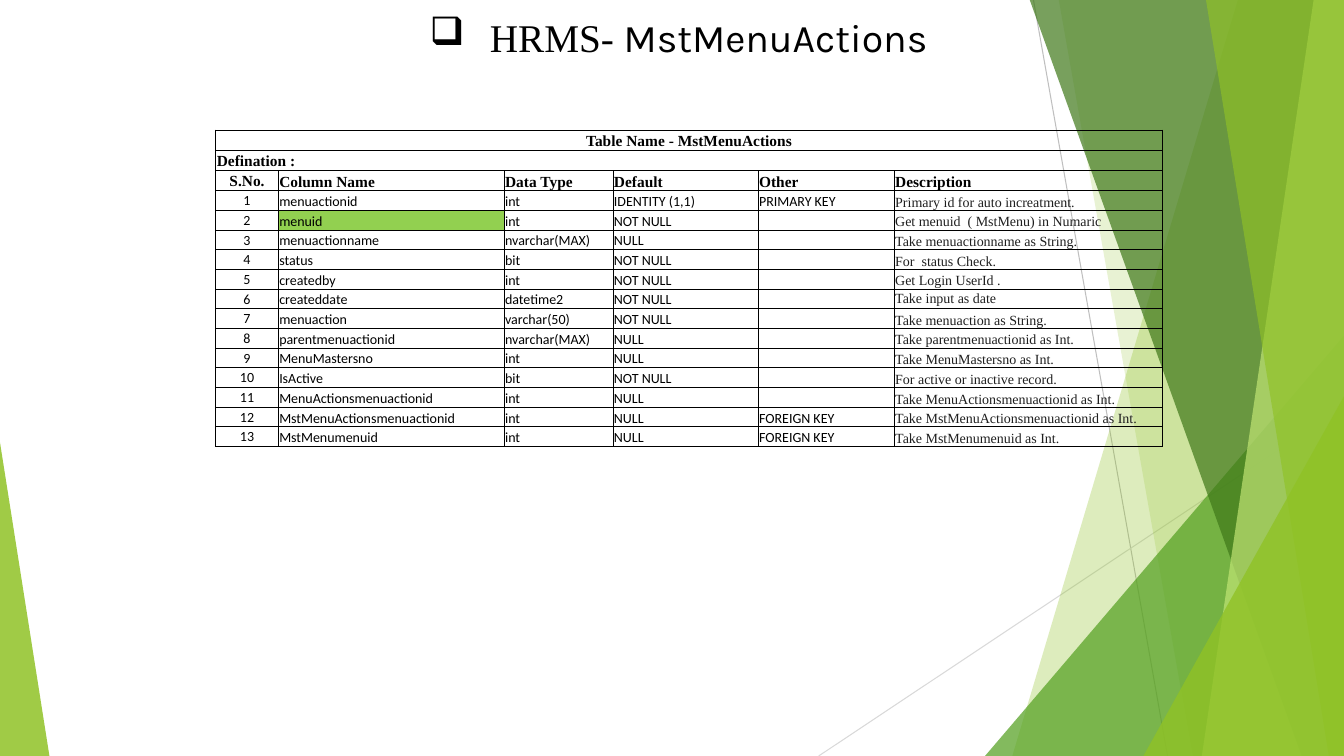
from lxml import etree
from pptx import Presentation
from pptx.dml.color import RGBColor
from pptx.enum import shapes, text
from pptx.oxml import ns
from pptx.util import Inches, Pt

HUES = {
    "black": "000000", "ink": "1F1F1F", "mark": "92D050",
    "lime": "90C226", "leaf": "54A021", "moss": "3F7819", "pale": "C0E474",
    "gray": "BFBFBF", "mist": "D9D9D9",
}
SERIF, SANS = "Times New Roman", "Calibri"


def hue(name):
    return RGBColor.from_string(HUES[name])


def tint(shape, name, alpha):
    """Fill a shape with a see-through colour, without line or shadow."""
    shape.shadow.inherit = False
    shape.line.fill.background()
    shape.fill.solid()
    shape.fill.fore_color.rgb = hue(name)
    color = shape.fill._xPr.find(".//" + ns.qn("a:srgbClr"))
    etree.SubElement(color, ns.qn("a:alpha"), val=str(alpha * 1000))


deck = Presentation()
deck.slide_width, deck.slide_height = Inches(13.33), Inches(7.5)
slide = deck.slides.add_slide(deck.slide_layouts[5])

# Thin lines behind the bands
for x1, y1, x2, y2, name in [(10.25, 0, 11.58, 7.5, "gray"),
                             (13.33, 4.03, 8.12, 7.5, "mist")]:
    line = slide.shapes.add_connector(
        shapes.MSO_CONNECTOR.STRAIGHT,
        Inches(x1), Inches(y1), Inches(x2), Inches(y2))
    line.line.color.rgb = hue(name)
    line.line.width = Pt(0.75)
    etree.SubElement(line._element.spPr, ns.qn("a:effectLst"))

# Green bands run to the right edge; triangles stand on the bottom edge
decor = [
    ("band", 12.28, 10.04, "lime", 30),
    ("band", 10.5, 11.83, "lime", 20),
    ("right", 3.56, 4.17, "leaf", 72),
    ("band", 10.21, 12.91, "moss", 70),
    ("band", 13.03, 11.92, "pale", 70),
    ("band", 11.96, 13.18, "lime", 65),
    ("right", 1.99, 3.57, "lime", 80),
    ("left", 0.49, 3.11, "lime", 85),
]
for kind, a, b, name, alpha in decor:
    if kind == "band":  # a and b: left edge at top and bottom
        pen = slide.shapes.build_freeform(Inches(a), Inches(-0.01))
        pen.add_line_segments([(Inches(x), Inches(y)) for x, y in
                               [(13.33, -0.01), (13.33, 7.5), (b, 7.5)]])
        part = pen.convert_to_shape()
    else:  # a and b: width and height
        left = 13.33 - a if kind == "right" else 0
        part = slide.shapes.add_shape(
            shapes.MSO_SHAPE.ISOSCELES_TRIANGLE,
            Inches(left), Inches(7.5 - b), Inches(a), Inches(b))
        part.adjustments[0] = 1 if kind == "right" else 0
    tint(part, name, alpha)

# Title with its box bullet
title = slide.shapes.title
title.left, title.top = Inches(1.62), Inches(0.08)
title.width, title.height = Inches(8.22), Inches(0.57)
frame = title.text_frame
frame.word_wrap = True
frame.auto_size = text.MSO_AUTO_SIZE.NONE
frame.vertical_anchor = text.MSO_ANCHOR.TOP
head = frame.paragraphs[0]
head.alignment = text.PP_ALIGN.CENTER
props = head._p.get_or_add_pPr()
props.set("marL", str(Inches(2.5)))
props.set("indent", str(Inches(-0.5)))
etree.SubElement(props, ns.qn("a:buChar"), char="❑")
for words, face in [(" HRMS- ", SERIF), ("MstMenuActions", "Karla")]:
    run = head.add_run()
    run.text = words
    run.font.size, run.font.name = Pt(28), face
    run.font.color.rgb = hue("black")

# Table rows
fields = [
    ("menuactionid", "int", "IDENTITY (1,1)", "PRIMARY KEY",
     "Primary id for auto increatment."),
    ("menuid", "int", "NOT NULL", "", "Get menuid  ( MstMenu) in Numaric"),
    ("menuactionname", "nvarchar(MAX)", "NULL", "",
     "Take menuactionname as String."),
    ("status", "bit", "NOT NULL", "", "For  status Check."),
    ("createdby", "int", "NOT NULL", "", "Get Login UserId ."),
    ("createddate", "datetime2", "NOT NULL", "", "Take input as date"),
    ("menuaction", "varchar(50)", "NOT NULL", "",
     "Take menuaction as String."),
    ("parentmenuactionid", "nvarchar(MAX)", "NULL", "",
     "Take parentmenuactionid as Int."),
    ("MenuMastersno", "int", "NULL", "", "Take MenuMastersno as Int."),
    ("IsActive", "bit", "NOT NULL", "", "For active or inactive record."),
    ("MenuActionsmenuactionid", "int", "NULL", "",
     "Take MenuActionsmenuactionid as Int."),
    ("MstMenuActionsmenuactionid", "int", "NULL", "FOREIGN KEY",
     "Take MstMenuActionsmenuactionid as Int."),
    ("MstMenumenuid", "int", "NULL", "FOREIGN KEY",
     "Take MstMenumenuid as Int."),
]
rows = [
    ("Table Name - MstMenuActions",) + ("",) * 5,
    ("Defination :",) + ("",) * 5,
    ("S.No.", "Column Name", "Data Type", "Default", "Other", "Description"),
]
rows += [(str(n), *field) for n, field in enumerate(fields, 1)]
widths = [0.62, 2.24, 1.08, 1.44, 1.35, 2.66]

table = slide.shapes.add_table(
    len(rows), len(widths), Inches(2.14), Inches(1.29),
    Inches(9.4), Inches(3.14)).table
table.first_row = table.horz_banding = False
for col, width in zip(table.columns, widths):
    col.width = Inches(width)
for r, row in enumerate(table.rows):
    row.height = Inches(0.2 if r < 3 else (3.14 - 3 * 0.2) / len(fields))
for r in range(2):
    table.cell(r, 0).merge(table.cell(r, 5))

# Cell text, borders and fills
for r, row in enumerate(rows):
    for c, words in enumerate(row):
        cell = table.cell(r, c)
        cell.margin_left = cell.margin_right = cell.margin_top = Inches(0.01)
        cell.margin_bottom = 0
        middle = (c == 0 and r > 1) or words == "Take input as date"
        cell.vertical_anchor = (text.MSO_ANCHOR.MIDDLE if middle
                                else text.MSO_ANCHOR.BOTTOM)
        cell.text = words
        para = cell.text_frame.paragraphs[0]
        if c == 0 and r != 1:
            para.alignment = text.PP_ALIGN.CENTER
        size = 11 if r < 3 else 10
        para.font.size, para.font.bold = Pt(size), r < 3
        para.font.name = SERIF if r < 3 or c == 5 else SANS
        para.font.color.rgb = hue("ink" if r > 2 and c == 5 else "black")
        if not words:
            etree.SubElement(para._p, ns.qn("a:endParaRPr"),
                             sz=str(size * 100))
        tcpr = cell._tc.get_or_add_tcPr()
        for side in ("lnL", "lnR", "lnT", "lnB"):
            edge = etree.SubElement(tcpr, ns.qn("a:" + side), w=str(Pt(0.5)))
            paint = etree.SubElement(edge, ns.qn("a:solidFill"))
            etree.SubElement(paint, ns.qn("a:srgbClr"), val=HUES["black"])
        if words == "menuid":
            cell.fill.solid()
            cell.fill.fore_color.rgb = hue("mark")
        else:
            cell.fill.background()

deck.save("out.pptx")
